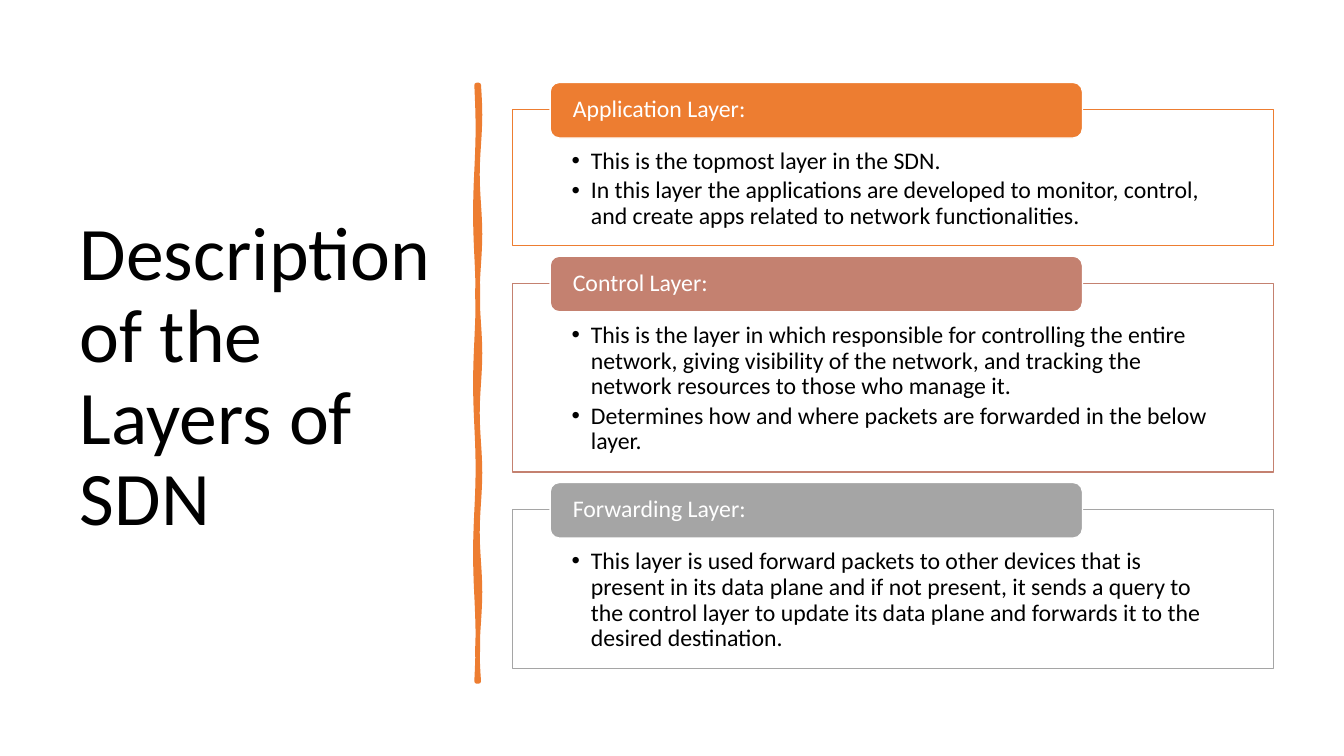
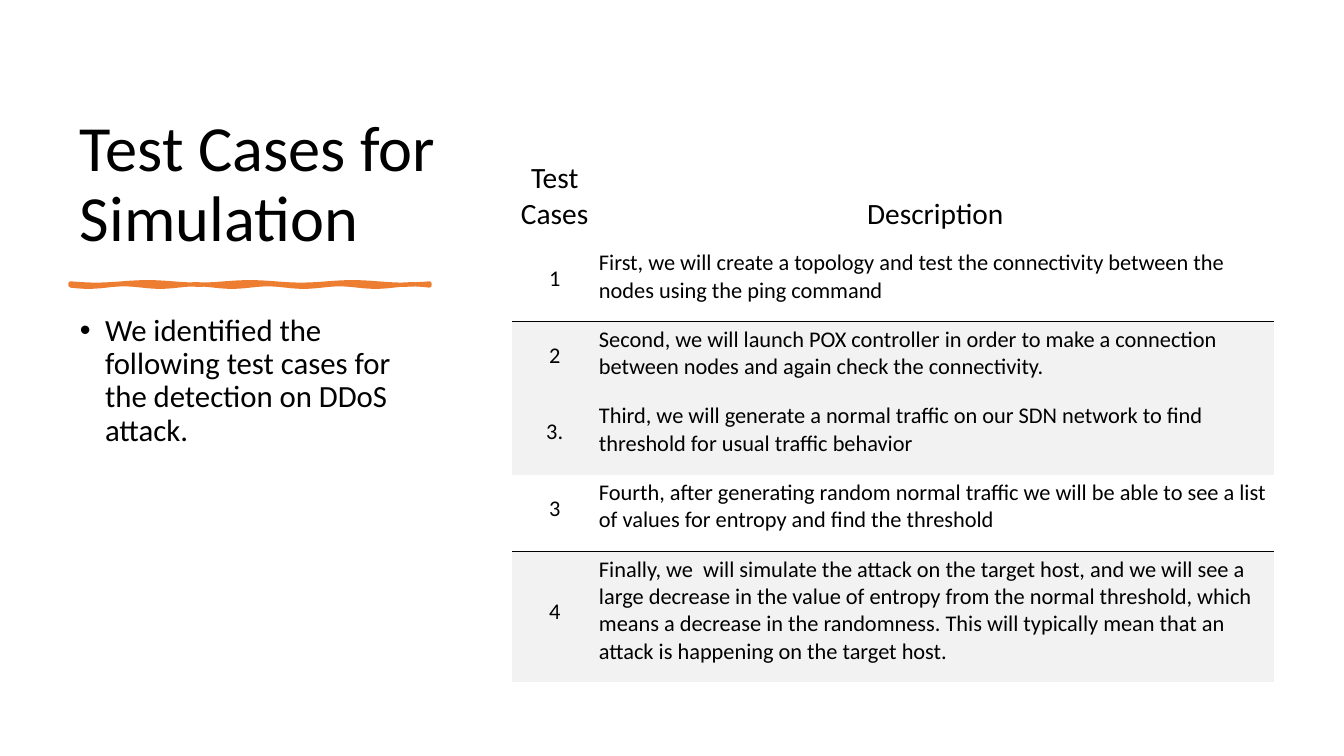
from math import pi, sin

from lxml.etree import SubElement
from pptx import Presentation
from pptx.dml.color import RGBColor
from pptx.enum.shapes import MSO_SHAPE as Preset
from pptx.enum.text import MSO_ANCHOR as Anchor, MSO_AUTO_SIZE as AutoSize, PP_ALIGN as Align
from pptx.oxml.ns import qn
from pptx.util import Emu, Inches, Pt

# The slide is a grid of 128 columns by 72 rows of square units.
SLIDE_WIDTH, SLIDE_HEIGHT = Inches(40 / 3), Inches(7.5)
UNIT = SLIDE_WIDTH / 128
FONT = "Calibri"
COLORS = {
    "ink": "000000",
    "paper": "FFFFFF",
    "accent": "ED7D31",
    "clay": "C48170",
    "gray": "A5A5A5",
    "band": "F2F2F2",
}
LEFT_COLUMN = (6.65, 35.95)
RIGHT_COLUMN = (48.8, 72.5)
TOP = 6.75
CARD_TOP, CARD_GAP, TAB_OVERHANG = 10.45, 3.6, 2.6
TAB_LEFT, TAB_WIDTH, TAB_HEIGHT = 52.4, 50.7, 5.3

LAYERS = [
    ("Application Layer:", "accent", 12.95, [
        "This is the topmost layer in the SDN.",
        "In this layer the applications are developed to monitor, control, "
        "and create apps related to network functionalities.",
    ]),
    ("Control Layer:", "clay", 17.95, [
        "This is the layer in which responsible for controlling the entire network, "
        "giving visibility of the network, and tracking the network resources to those "
        "who manage it.",
        "Determines how and where packets are forwarded in the below layer.",
    ]),
    ("Forwarding Layer:", "gray", 15.15, [
        "This layer is used forward packets to other devices that is present in its data "
        "plane and if not present, it sends a query to the control layer to update its "
        "data plane and forwards it to the desired destination.",
    ]),
]

# Each row: number, description, height, shaded, ruled edge.
TEST_CASES = [
    ("Test Cases", "Description", 8.85, False, None),
    ("1", "First, we will create a topology and test the connectivity between the nodes "
     "using the ping command", 7.3, False, "lnB"),
    ("2", "Second, we will launch POX controller in order to make a connection between "
     "nodes and again check the connectivity.", 7.3, True, "lnT"),
    ("3.", "Third, we will generate a normal traffic on our SDN network to find threshold "
     "for usual traffic behavior", 7.3, True, None),
    ("3", "Fourth, after generating random normal traffic we will be able to see a list of "
     "values for entropy and find the threshold", 7.3, False, "lnB"),
    ("4", "Finally, we  will simulate the attack on the target host, and we will see a large "
     "decrease in the value of entropy from the normal threshold, which means a decrease in "
     "the randomness. This will typically mean that an attack is happening on the target "
     "host.", 12.4, True, "lnT"),
]


def grid(*units):
    """Turn grid units into lengths."""
    return [Emu(round(unit * UNIT)) for unit in units]


def color(name):
    """Look up a named colour."""
    return RGBColor.from_string(COLORS[name])


def add_span(para, text, size, ink="ink"):
    """Add one formatted run to a paragraph."""
    span = para.add_run()
    span.text = text
    span.font.name, span.font.size, span.font.bold = FONT, Pt(size), False
    span.font.color.rgb = color(ink)


def set_margins(target, left, top, right, bottom):
    """Set the inner margins of a text frame or a cell in grid units."""
    (target.margin_left, target.margin_top,
     target.margin_right, target.margin_bottom) = grid(left, top, right, bottom)


def place(box, left, top, width, height):
    """Move and size a placeholder on the grid."""
    box.left, box.top, box.width, box.height = grid(left, top, width, height)
    box.text_frame.auto_size = AutoSize.NONE
    box.text_frame.word_wrap = True


def write_title(page, text, size, height, anchor):
    """Fill the title placeholder in the left column."""
    title = page.shapes.title
    place(title, LEFT_COLUMN[0], TOP, LEFT_COLUMN[1], height)
    title.text_frame.vertical_anchor = anchor
    para = title.text_frame.paragraphs[0]
    para.alignment, para.line_spacing = Align.LEFT, 0.9
    add_span(para, text, size)


def write_bullets(frame, items, size, indent, before=0, after=0):
    """Write a bulleted list with a hanging indent in inches."""
    for index, item in enumerate(items):
        para = frame.add_paragraph() if index else frame.paragraphs[0]
        para.alignment, para.line_spacing = Align.LEFT, 0.9
        para.space_before, para.space_after = Pt(before), Pt(after)
        props = para._p.get_or_add_pPr()
        props.set("marL", str(Inches(indent)))
        props.set("indent", str(-Inches(indent)))
        SubElement(props, qn("a:buFont"), typeface="Arial")
        SubElement(props, qn("a:buChar"), char="•")
        add_span(para, item, size)


def add_panel(page, preset, bounds, fill, line):
    """Add a flat filled shape with wrapped text."""
    panel = page.shapes.add_shape(preset, *grid(*bounds))
    panel.shadow.inherit = False
    panel.fill.solid()
    panel.fill.fore_color.rgb = color(fill)
    panel.line.color.rgb = color(line)
    panel.line.width = Pt(1)
    panel.text_frame.word_wrap = True
    return panel


def add_card(page, top, height, heading, hue, items):
    """Add an outlined list with a coloured tab on its upper edge."""
    left, width = RIGHT_COLUMN
    body = add_panel(page, Preset.RECTANGLE, (left, top, width, height), "paper", hue)
    body.text_frame.vertical_anchor = Anchor.TOP
    set_margins(body.text_frame, 5.65, 3.75, 5.65, 1.25)
    write_bullets(body.text_frame, items, 17, 0.19, after=2.55)

    tab_bounds = (TAB_LEFT, top - TAB_OVERHANG, TAB_WIDTH, TAB_HEIGHT)
    tab = add_panel(page, Preset.ROUNDED_RECTANGLE, tab_bounds, hue, "paper")
    tab.text_frame.vertical_anchor = Anchor.MIDDLE
    set_margins(tab.text_frame, 1.9, 0, 1.9, 0)
    para = tab.text_frame.paragraphs[0]
    para.alignment, para.line_spacing = Align.LEFT, 0.9
    add_span(para, heading, 17, "paper")


def add_brush(page, left, top, length, weight, vertical=False):
    """Add a hand-drawn stroke whose two edges waver separately."""
    steps, thickness, sway = 60, 0.2, 0.12
    shares = [step / steps for step in range(steps + 1)]
    near = [(length * share, sway * sin(7 * pi * share)) for share in shares]
    far = [(length * share, thickness + sway * sin(10 * pi * share))
           for share in reversed(shares)]
    points = [grid(left + across, top + along) if vertical else grid(left + along, top + across)
              for along, across in near + far]
    builder = page.shapes.build_freeform(*points[0], scale=1.0)
    builder.add_line_segments(points[1:], close=True)
    brush = builder.convert_to_shape()
    brush.shadow.inherit = False
    brush.fill.solid()
    brush.fill.fore_color.rgb = color("accent")
    brush.line.color.rgb = color("accent")
    brush.line.width = Pt(weight)
    SubElement(brush.line._get_or_add_ln(), qn("a:round"))


def set_borders(cell, ruled_edge):
    """Rule one edge of a cell and clear the others."""
    props = cell._tc.get_or_add_tcPr()
    for edge in ("lnL", "lnR", "lnT", "lnB"):
        line = SubElement(props, qn(f"a:{edge}"), w=str(Pt(0.75)))
        if edge == ruled_edge:
            fill = SubElement(line, qn("a:solidFill"))
            SubElement(fill, qn("a:srgbClr"), val=COLORS["ink"])
        else:
            SubElement(line, qn("a:noFill"))


def fill_cell(cell, text, size, alignment, anchor, shaded, ruled_edge):
    """Write and format one table cell."""
    set_margins(cell, 0, 0.4, 0.2, 1.25)
    cell.vertical_anchor = anchor
    set_borders(cell, ruled_edge)
    if shaded:
        cell.fill.solid()
        cell.fill.fore_color.rgb = color("band")
    else:
        cell.fill.background()
    para = cell.text_frame.paragraphs[0]
    para.alignment = alignment
    add_span(para, text, size)


def add_case_table(page):
    """Add the table of numbered test cases."""
    left, width = RIGHT_COLUMN
    height = sum(case[2] for case in TEST_CASES)
    frame = page.shapes.add_table(len(TEST_CASES), 2, *grid(left, 14.5, width, height))
    table = frame.table
    table.horz_banding = False
    for column, column_width in zip(table.columns, grid(8.25, width - 8.25)):
        column.width = column_width
    for index, (number, text, row_height, shaded, edge) in enumerate(TEST_CASES):
        table.rows[index].height = grid(row_height)[0]
        if index == 0:
            size, styles = 21, [(Align.CENTER, Anchor.BOTTOM)] * 2
        else:
            size, styles = 16, [(Align.CENTER, Anchor.MIDDLE), (Align.LEFT, Anchor.TOP)]
        for column, (words, style) in enumerate(zip((number, text), styles)):
            fill_cell(table.cell(index, column), words, size, *style, shaded, edge)


def build_layers(deck):
    """Build the slide that describes the layers."""
    page = deck.slides.add_slide(deck.slide_layouts[5])
    write_title(page, "Description of the Layers of SDN", 54, 58.65, Anchor.MIDDLE)
    add_brush(page, 45.4, 8.1, 56.8, 3.25, vertical=True)
    top = CARD_TOP
    for heading, hue, height, items in LAYERS:
        add_card(page, top, height, heading, hue, items)
        top += height + CARD_GAP


def build_test_cases(deck):
    """Build the slide that lists the test cases."""
    page = deck.slides.add_slide(deck.slide_layouts[1])
    write_title(page, "Test Cases for Simulation", 46, 18.05, Anchor.BOTTOM)
    add_brush(page, 6.7, 27, 34.2, 3)
    body = page.placeholders[1]
    place(body, LEFT_COLUMN[0], 29.5, LEFT_COLUMN[1], 35.8)
    write_bullets(body.text_frame, [
        "We identified the following test cases for the detection on DDoS attack.",
    ], 22, 0.25, before=10)
    add_case_table(page)


def main():
    """Build and save the deck."""
    deck = Presentation()
    deck.slide_width, deck.slide_height = SLIDE_WIDTH, SLIDE_HEIGHT
    build_layers(deck)
    build_test_cases(deck)
    deck.save("out.pptx")


main()
